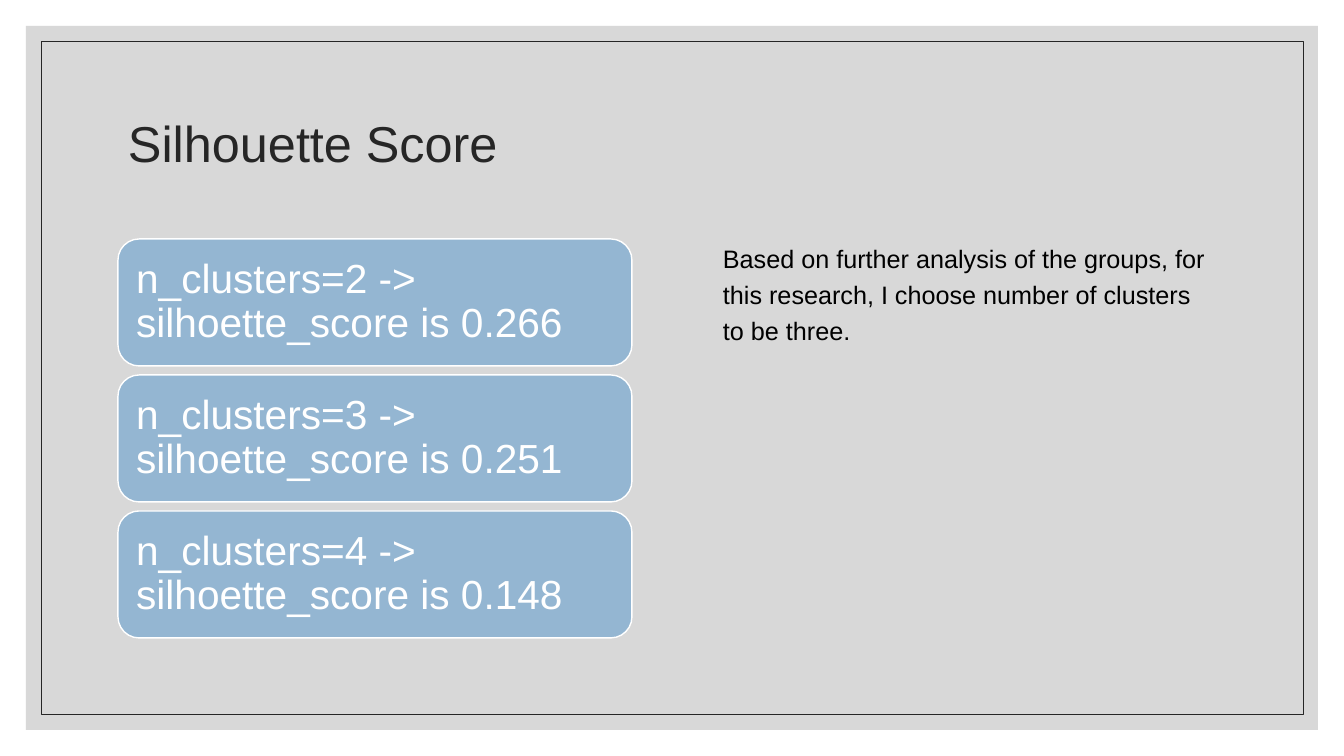
"""Build the Silhouette Score slide."""
from lxml import etree
from pptx import Presentation
from pptx.dml.color import RGBColor
from pptx.enum.shapes import MSO_SHAPE
from pptx.enum.text import MSO_ANCHOR, PP_ALIGN
from pptx.oxml.ns import qn
from pptx.util import Emu, Pt

COLORS = {"panel": "BFBFBF", "dark": "262626", "black": "000000",
          "card": "94B6D2", "white": "FFFFFF"}


def px(*nums):
    return [Emu(round(n * 914400 / 100.8)) for n in nums]


def write(shape, text, size, color, pitch, anchor, inset):
    frame = shape.text_frame
    frame.word_wrap = True
    frame.vertical_anchor = anchor
    (frame.margin_left, frame.margin_top,
     frame.margin_right, frame.margin_bottom) = px(*inset)
    para = frame.paragraphs[0]
    para.alignment = PP_ALIGN.LEFT
    para.line_spacing = pitch
    run = para.add_run()
    run.text = text
    run.font.size = Pt(size)
    run.font.name = "Arial"
    run.font.color.rgb = RGBColor.from_string(COLORS[color])


deck = Presentation()
deck.slide_width, deck.slide_height = px(1344, 756)
slide = deck.slides.add_slide(deck.slide_layouts[6])
shapes = slide.shapes

panel = shapes.add_shape(MSO_SHAPE.RECTANGLE, *px(26, 26, 1292, 704))
panel.shadow.inherit = False
panel.fill.solid()
panel.fill.fore_color.rgb = RGBColor.from_string(COLORS["panel"])
tint = panel.fill._xPr.find(qn("a:solidFill"))[0]
etree.SubElement(tint, qn("a:alpha")).set("val", "60000")
panel.line.fill.background()

frame = shapes.add_shape(MSO_SHAPE.RECTANGLE, *px(41, 41, 1262, 673))
frame.shadow.inherit = False
frame.fill.background()
frame.line.color.rgb = RGBColor.from_string(COLORS["dark"])
frame.line.width = Pt(0.5)

title = shapes.add_textbox(*px(118, 71, 1109, 151))
write(title, "Silhouette Score", 36, "dark", 0.9, MSO_ANCHOR.MIDDLE, (10, 5, 10, 5))

body = shapes.add_textbox(*px(713, 232, 514, 413))
write(body, "Based on further analysis of the groups, for this research, "
      "I choose number of clusters to be three.",
      18, "black", 1.2, MSO_ANCHOR.TOP, (10, 5, 10, 5))

scores = [(2, "0.266"), (3, "0.251"), (4, "0.148")]
for row, (count, score) in enumerate(scores):
    card = shapes.add_shape(MSO_SHAPE.ROUNDED_RECTANGLE,
                            *px(118, 239 + 136 * row, 514, 127))
    card.shadow.inherit = False
    card.fill.solid()
    card.fill.fore_color.rgb = RGBColor.from_string(COLORS["card"])
    card.line.color.rgb = RGBColor.from_string(COLORS["white"])
    card.line.width = Pt(1)
    write(card, f"n_clusters={count} -> silhoette_score is {score}",
          29, "white", 0.9, MSO_ANCHOR.MIDDLE, (12, 12, 12, 12))

deck.save("out.pptx")
